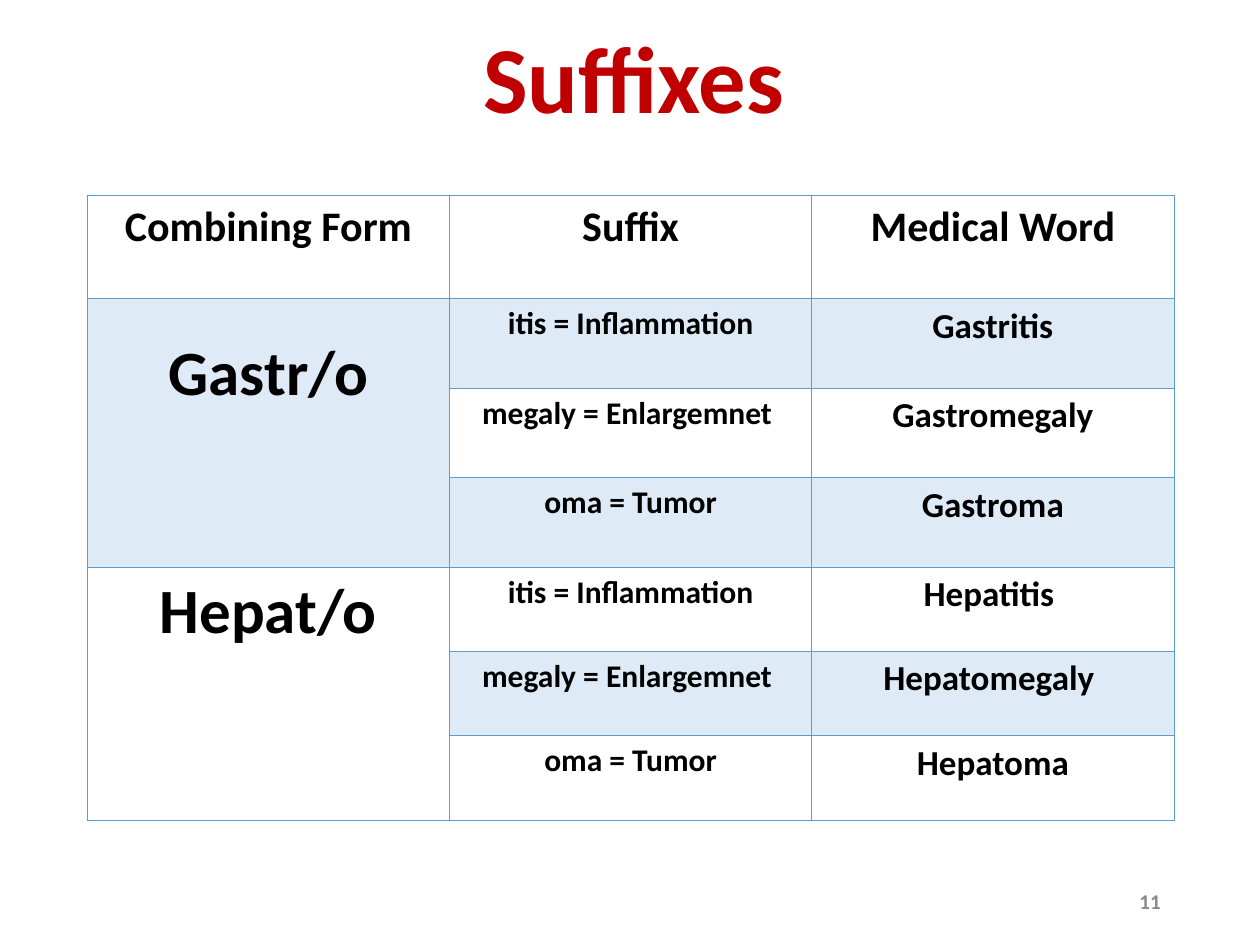
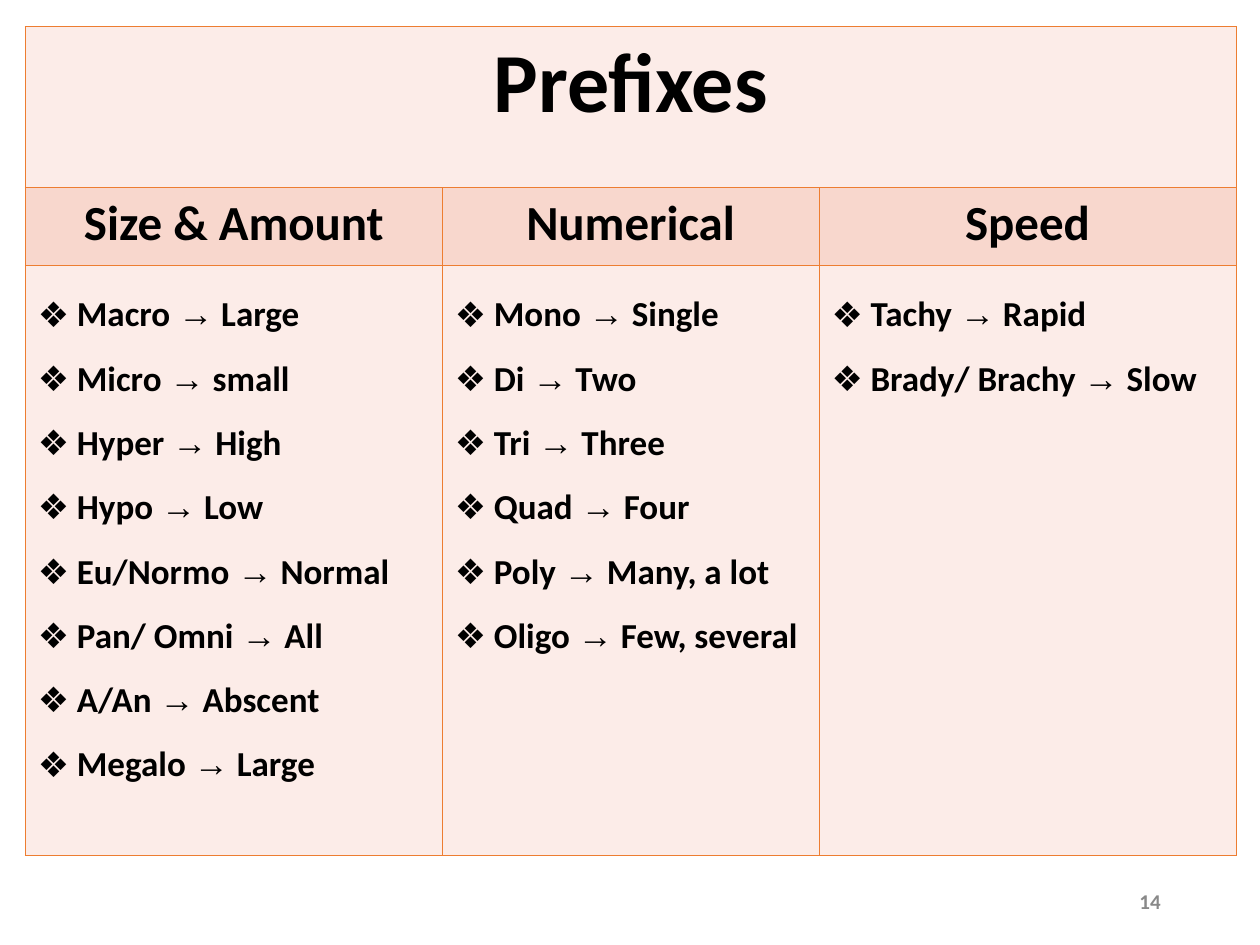
import pptx
import pptx.dml.color
import pptx.enum.text
import pptx.oxml.ns
import pptx.util
from lxml import etree

Inches = pptx.util.Inches
Pt = pptx.util.Pt
ALIGN = pptx.enum.text.PP_ALIGN
MIDDLE = pptx.enum.text.MSO_ANCHOR.MIDDLE

# Content
SUFFIX_TITLE = "Suffixes"
SUFFIX_HEADINGS = ["Combining Form", "Suffix", "Medical Word"]
SUFFIXES = ["itis = Inflammation", "megaly = Enlargemnet ", "oma = Tumor"]
MEDICAL_WORDS = {
    "Gastr/o": ["Gastritis", "Gastromegaly", "Gastroma"],
    "Hepat/o": ["Hepatitis ", "Hepatomegaly ", "Hepatoma"],
}
PREFIX_TITLE = "Prefixes"
PREFIXES = {
    "Size & Amount": [
        "Macro → Large", "Micro → small", "Hyper → High", "Hypo → Low",
        "Eu/Normo → Normal", "Pan/ Omni → All", "A/An → Abscent",
        "Megalo → Large",
    ],
    "Numerical": [
        "Mono → Single", "Di → Two", "Tri → Three", "Quad → Four",
        "Poly → Many, a lot", "Oligo → Few, several",
    ],
    "Speed": ["Tachy → Rapid", "Brady/ Brachy → Slow"],
}

# Shared look
COLORS = {
    "text": "000000", "title": "C00000", "number": "898989",
    "blue_line": "5B9BD5", "blue_band": "DEEBF7",
    "orange_line": "ED7D31", "orange_light": "FCECE8", "orange_band": "F8D7CD",
}
FONT, ARROW_FONT = "Calibri", "Arial"
ARROW, BULLET = "→", "❖"
INDENT = 0.31
THIN, THICK = 0.45, 0.96
TITLE_BOX = (0.72, 0, 8.62, 1.31)
NUMBER_BOX = (7.06, 6.95, 2.25, 0.4)


def rgb(name):
    return pptx.dml.color.RGBColor.from_string(COLORS[name])


def add_bullet(paragraph):
    properties = paragraph._p.get_or_add_pPr()
    properties.set("marL", str(Inches(INDENT)))
    properties.set("indent", str(-Inches(INDENT)))

    def append(tag, parent=properties, **attributes):
        return etree.SubElement(parent, pptx.oxml.ns.qn(tag), **attributes)

    append("a:srgbClr", append("a:buClr"), val=COLORS["text"])
    append("a:buFont", typeface=ARROW_FONT)
    append("a:buChar", char=BULLET)


def write(frame, *lines, size, color="text", align=ALIGN.CENTER, spacing=None,
          bulleted=False):
    """Fill a text frame with bold lines; arrows get their own font."""
    frame.word_wrap = True
    for index, line in enumerate(lines):
        paragraph = frame.add_paragraph() if index else frame.paragraphs[0]
        paragraph.alignment = align
        if spacing:
            paragraph.line_spacing = spacing
        if bulleted:
            add_bullet(paragraph)
        for part in line.partition(ARROW):
            if part:
                run = paragraph.add_run()
                run.text = part
                run.font.name = ARROW_FONT if part == ARROW else FONT
                run.font.size = Pt(size)
                run.font.bold = True
                run.font.color.rgb = rgb(color)


def add_text(slide, box, text, **style):
    frame = slide.shapes.add_textbox(*map(Inches, box)).text_frame
    frame.vertical_anchor = MIDDLE
    write(frame, text, **style)


def add_border(cell, edge, position, color, weight):
    line = etree.Element(pptx.oxml.ns.qn(f"a:ln{edge}"), w=str(Pt(weight)))
    fill = etree.SubElement(line, pptx.oxml.ns.qn("a:solidFill"))
    etree.SubElement(fill, pptx.oxml.ns.qn("a:srgbClr"), val=COLORS[color])
    cell._tc.get_or_add_tcPr().insert(position, line)


def add_grid(slide, left, top, columns, rows, line, band, thick_after=None):
    """Add a bordered table; band(row, column) names a cell's fill or None."""
    table = slide.shapes.add_table(
        len(rows), len(columns), Inches(left), Inches(top),
        Inches(sum(columns)), Inches(sum(rows))).table
    table.first_row = table.horz_banding = False
    for column, width in zip(table.columns, columns):
        column.width = Inches(width)
    for r, height in enumerate(rows):
        table.rows[r].height = Inches(height)
        for c in range(len(columns)):
            cell = table.cell(r, c)
            fill = band(r, c)
            if fill:
                cell.fill.solid()
                cell.fill.fore_color.rgb = rgb(fill)
            else:
                cell.fill.background()
            for position, edge in enumerate("LRTB"):
                rule = {"T": r - 1, "B": r}.get(edge)
                heavy = rule is not None and rule == thick_after
                add_border(cell, edge, position, line, THICK if heavy else THIN)
    return table


def add_slide(deck, number):
    slide = deck.slides.add_slide(deck.slide_layouts[6])
    add_text(slide, NUMBER_BOX, str(number), size=12, color="number",
             align=ALIGN.RIGHT)
    return slide


def suffix_band(row, column):
    group = len(SUFFIXES)
    if column == 0:
        shaded = 1 <= row <= group
    else:
        shaded = row % 2 == 1
    return "blue_band" if shaded else None


def build_suffixes(deck):
    slide = add_slide(deck, 11)
    add_text(slide, TITLE_BOX, SUFFIX_TITLE, size=54, color="title", spacing=0.9)
    group = len(SUFFIXES)
    table = add_grid(slide, 0.69, 1.55, [2.88, 2.87, 2.88],
                     [0.82] + [0.71] * group + [0.67] * group,
                     "blue_line", suffix_band, thick_after=0)
    for c, heading in enumerate(SUFFIX_HEADINGS):
        write(table.cell(0, c).text_frame, heading, size=24)
    for g, (form, words) in enumerate(MEDICAL_WORDS.items()):
        first = 1 + g * group
        form_cell = table.cell(first, 0)
        form_cell.merge(table.cell(first + group - 1, 0))
        write(form_cell.text_frame, form, size=36)
        for r, (suffix, word) in enumerate(zip(SUFFIXES, words), first):
            write(table.cell(r, 1).text_frame, suffix, size=18)
            write(table.cell(r, 2).text_frame, word, size=20)
    table.cell(1, 0).margin_top = Inches(0.29)


def build_prefixes(deck):
    slide = add_slide(deck, 14)
    table = add_grid(
        slide, 0.2, 0.21, [3.31, 2.99, 3.31], [1.28, 0.62, 4.68], "orange_line",
        lambda row, column: "orange_band" if row == 1 else "orange_light")
    table.cell(0, 0).merge(table.cell(0, len(PREFIXES) - 1))
    write(table.cell(0, 0).text_frame, PREFIX_TITLE, size=48)
    for c, (heading, meanings) in enumerate(PREFIXES.items()):
        write(table.cell(1, c).text_frame, heading, size=28)
        write(table.cell(2, c).text_frame, *meanings, size=20,
              align=ALIGN.LEFT, spacing=1.5, bulleted=True)


def main():
    deck = pptx.Presentation()
    deck.slide_width, deck.slide_height = Inches(10), Inches(7.5)
    build_suffixes(deck)
    build_prefixes(deck)
    deck.save("out.pptx")


if __name__ == "__main__":
    main()
